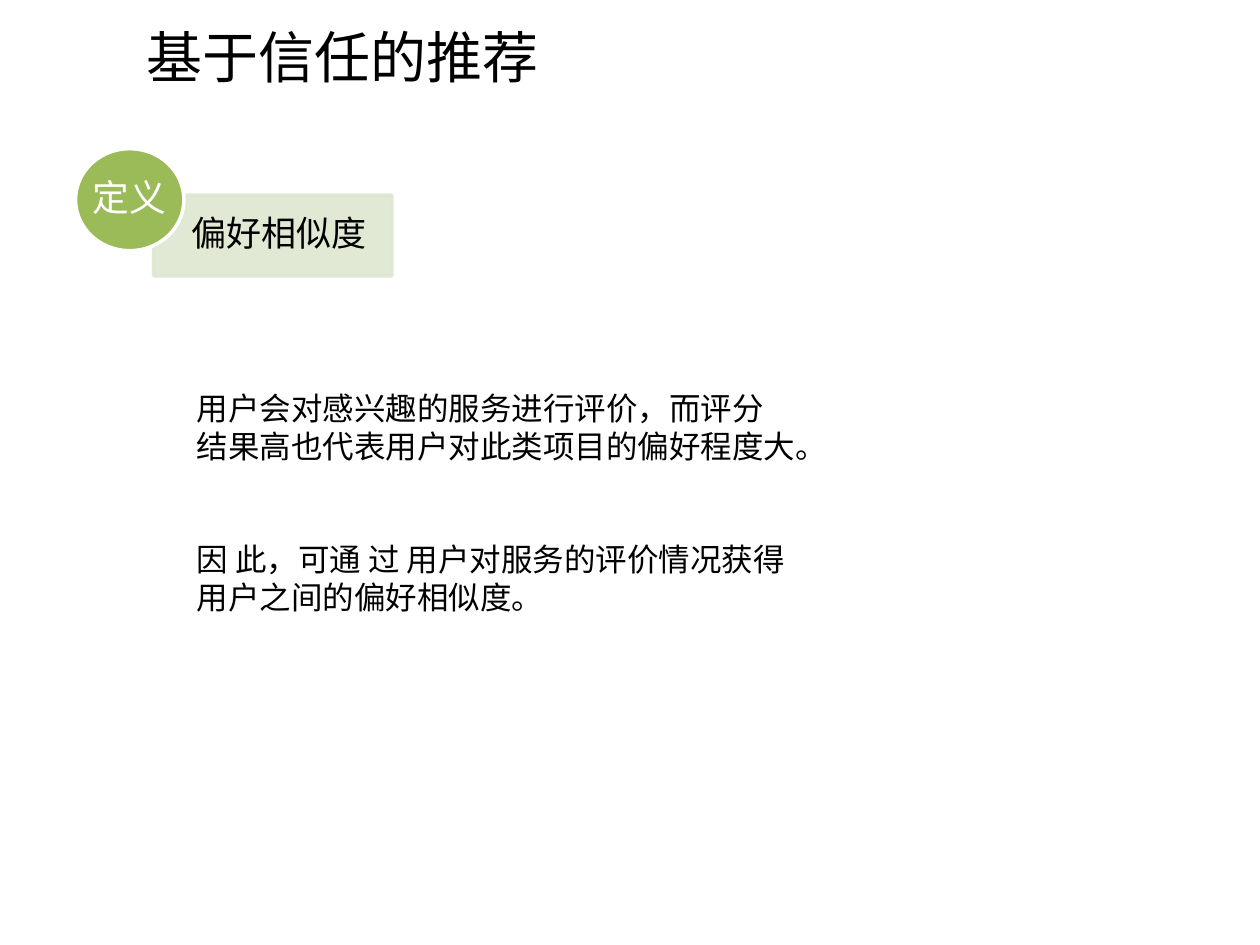
import pptx
import pptx.dml.color
import pptx.enum.shapes
import pptx.enum.text
import pptx.oxml
import pptx.oxml.ns
import pptx.util
from pptx.util import Inches

ANCHOR = pptx.enum.text.MSO_ANCHOR
ALIGN = pptx.enum.text.PP_ALIGN
SHAPE = pptx.enum.shapes.MSO_SHAPE


def rgb(color):
    """Turn a hex string into a colour."""
    return pptx.dml.color.RGBColor.from_string(color)


def set_attributes(target, values):
    """Set each named value on the target."""
    for name, value in values.items():
        setattr(target, name, value)


def place(part, box):
    """Move a part to a box of left, top, width and height in inches."""
    sides = ("left", "top", "width", "height")
    set_attributes(part, {side: Inches(v) for side, v in zip(sides, box)})


def write(part, paragraphs, size, color="000000", align=ALIGN.LEFT,
          spacing=1.0, gap=0, **frame_format):
    """Write paragraphs without bullets, with a gap between them in points."""
    frame = part.text_frame
    set_attributes(frame, {"word_wrap": True,
                           "auto_size": pptx.enum.text.MSO_AUTO_SIZE.NONE,
                           **frame_format})
    for index, text in enumerate(paragraphs):
        paragraph = frame.add_paragraph() if index else frame.paragraphs[0]
        paragraph.text = text
        properties = paragraph._p.get_or_add_pPr()
        properties.set("marL", "0")
        properties.set("indent", "0")
        pptx.oxml.ns.qn("a:buNone")
        properties.append(pptx.oxml.parse_xml(
            f'<a:buNone {pptx.oxml.ns.nsdecls("a")}/>'))
        set_attributes(paragraph, {"alignment": align, "line_spacing": spacing,
                                   "space_before": pptx.util.Pt(gap if index else 0)})
        set_attributes(paragraph.font, {"name": "Calibri", "size": pptx.util.Pt(size)})
        paragraph.font.color.rgb = rgb(color)


def set_opacity(fill_color, percent):
    """Give the solid colour inside an element an opacity."""
    for color in fill_color.iter(pptx.oxml.ns.qn("a:srgbClr")):
        color.append(pptx.oxml.parse_xml(
            f'<a:alpha {pptx.oxml.ns.nsdecls("a")} val="{percent * 1000}"/>'))


def add_panel(slide, kind, box, fill, line):
    """Add a filled preset shape with a two-point outline."""
    panel = slide.shapes.add_shape(kind, *map(Inches, box))
    panel.shadow.inherit = False
    panel.fill.solid()
    panel.fill.fore_color.rgb = rgb(fill)
    panel.line.color.rgb = rgb(line)
    panel.line.width = pptx.util.Pt(2)
    return panel


def add_definition(slide, box, label, term):
    """Add a term panel with a round label over its top left corner."""
    left, top, width, height = box
    term_box = (left + 0.62, top + 0.37, width - 0.62, height - 0.37)
    term_panel = add_panel(slide, SHAPE.RECTANGLE, term_box, "DEE7D1", "DEE7D1")
    set_opacity(term_panel._element.spPr, 90)
    write(term_panel, [term], 20, spacing=0.9, vertical_anchor=ANCHOR.MIDDLE,
          margin_left=Inches(0.3), margin_right=Inches(0.16),
          margin_top=Inches(0.16), margin_bottom=Inches(0.16))
    badge = add_panel(slide, SHAPE.OVAL, (left, top, 0.86, 0.81), "9BBB59", "FFFFFF")
    write(badge, [label], 21, "FFFFFF", ALIGN.CENTER, 0.9,
          vertical_anchor=ANCHOR.MIDDLE, margin_left=0, margin_right=0,
          margin_top=0, margin_bottom=0)


def fill_placeholder(placeholder, box, paragraphs, size, gap=0):
    """Move a placeholder to its box and write it from the top."""
    place(placeholder, box)
    write(placeholder, paragraphs, size, gap=gap, vertical_anchor=ANCHOR.TOP)


def main():
    """Build the slide and save it."""
    deck = pptx.Presentation()
    set_attributes(deck, {"slide_width": Inches(10), "slide_height": Inches(7.5)})
    slide = deck.slides.add_slide(deck.slide_layouts[1])
    fill_placeholder(slide.shapes.title, (1.06, 0.13, 5.04, 0.64),
                     ["基于信任的推荐"], 32)
    add_definition(slide, (0.6, 1.18, 2.51, 1.01), "定义", "偏好相似度")
    fill_placeholder(slide.placeholders[1], (1.46, 3.04, 5, 1.92), [
        "用户会对感兴趣的服务进行评价，而评分 结果高也代表用户对此类项目的偏好程度大。",
        "因 此，可通 过 用户对服务的评价情况获得用户之间的偏好相似度。",
    ], 18, gap=43)
    deck.save("out.pptx")


if __name__ == "__main__":
    main()
